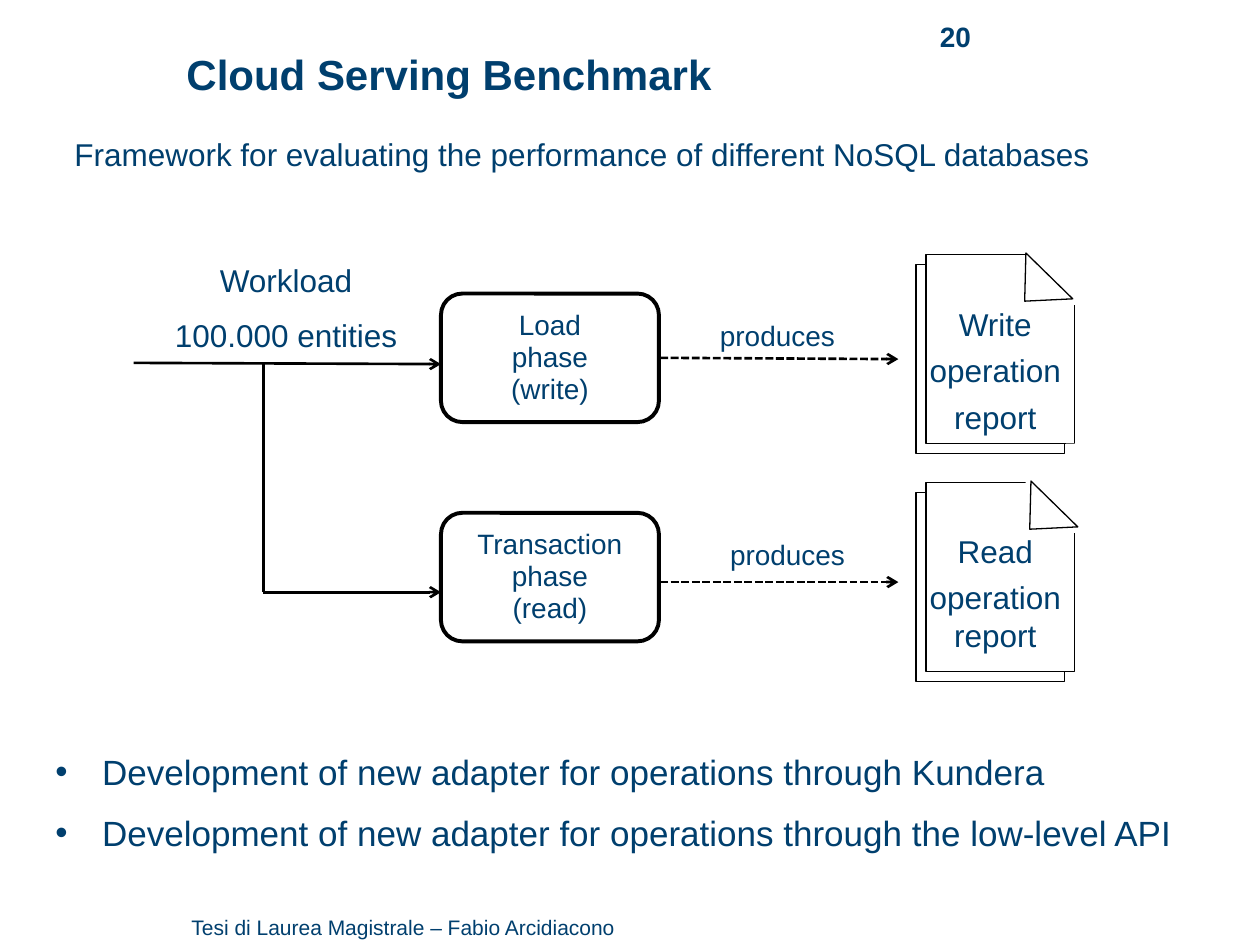
from lxml.etree import SubElement
from pptx import Presentation
from pptx.dml.color import RGBColor
from pptx.enum.dml import MSO_LINE
from pptx.enum.shapes import MSO_CONNECTOR, MSO_SHAPE
from pptx.enum.text import MSO_ANCHOR, MSO_AUTO_SIZE, PP_ALIGN
from pptx.oxml.ns import qn
from pptx.util import Inches, Pt

COLORS = {"text": "003F6E", "line": "000000", "paper": "FFFFFF"}
FONT = "Arial"

TITLE = "Cloud Serving Benchmark"
BULLETS = [
    "Development of new adapter for operations through Kundera",
    "Development of new adapter for operations through the low-level API",
]
LABELS = [
    (["Framework for evaluating the performance of different NoSQL databases"],
     (0.59, 1.07, 9.21, 0.4), 18, PP_ALIGN.LEFT, 0),
    (["Workload", "100.000 entities"], (1.05, 2.07, 2.44, 0.75), 18, PP_ALIGN.CENTER, 10.2),
    (["produces"], (5.42, 2.53, 1.5, 0.3), 16, PP_ALIGN.CENTER, 0),
    (["produces"], (5.5, 4.27, 1.5, 0.3), 16, PP_ALIGN.CENTER, 0),
    (["Tesi di Laurea Magistrale – Fabio Arcidiacono"],
     (1.52, 7.26, 3.57, 0.22), 12, PP_ALIGN.LEFT, 0),
]
PHASES = [("Load\vphase\v(write)", 2.33), ("Transaction\vphase\v(read)", 4.07)]
REPORTS = [
    (["Write", "operation", "report"], 2.02, 2.42, 7.97),
    (["Read", "operation\vreport"], 3.83, 4.22, 8.01),
]
LINES = [
    ((1.06, 2.88), (3.5, 2.89), False, True),
    ((2.09, 4.7), (2.09, 2.88), False, False),
    ((2.09, 4.7), (3.5, 4.7), False, True),
    ((5.24, 2.84), (7.13, 2.85), True, True),
    ((5.24, 4.62), (7.13, 4.62), True, True),
]


def rgb(name):
    return RGBColor.from_string(COLORS[name])


def place(shape, box):
    shape.left, shape.top, shape.width, shape.height = map(Inches, box)


def write(tf, lines, size, align=PP_ALIGN.LEFT, gap=0, bold=False,
          spacing=1.0, anchor=MSO_ANCHOR.TOP):
    tf.word_wrap = True
    tf.auto_size = MSO_AUTO_SIZE.NONE
    tf.vertical_anchor = anchor
    tf.margin_left = tf.margin_right = tf.margin_top = tf.margin_bottom = 0
    for i, line in enumerate(lines):
        p = tf.paragraphs[0] if i == 0 else tf.add_paragraph()
        p.text = line
        p.alignment = align
        p.line_spacing = spacing
        p.space_before = Pt(gap if i else 0)
        for r in p.runs:
            r.font.name = FONT
            r.font.size = Pt(size)
            r.font.bold = bold
            r.font.color.rgb = rgb("text")


def add_label(s, lines, box, *style, **options):
    tf = s.shapes.add_textbox(*map(Inches, box)).text_frame
    write(tf, lines, *style, **options)


def add_outline(s, kind, box, width, filled=True):
    sp = s.shapes.add_shape(kind, *map(Inches, box))
    sp.shadow.inherit = False
    if filled:
        sp.fill.solid()
        sp.fill.fore_color.rgb = rgb("paper")
    else:
        sp.fill.background()
    if width:
        sp.line.color.rgb = rgb("line")
        sp.line.width = Pt(width)
    else:
        sp.line.fill.background()
    return sp


def add_line(s, start, end, dashed, arrow):
    cx = s.shapes.add_connector(MSO_CONNECTOR.STRAIGHT, *map(Inches, start + end))
    cx.line.color.rgb = rgb("line")
    cx.line.width = Pt(1.5)
    if dashed:
        cx.line.dash_style = MSO_LINE.SQUARE_DOT
    if arrow:
        SubElement(cx.line._get_or_add_ln(), qn("a:tailEnd"), type="arrow")
    SubElement(cx._element.spPr, qn("a:effectLst"))


def add_report(s, lines, top, text_top, fold_left):
    for left, y in [(7.27, top + 0.08), (7.35, top)]:
        add_outline(s, MSO_SHAPE.RECTANGLE, (left, y, 1.18, 1.5), 0.75)
    for box in [(8.14, top - 0.16, 0.71, 0.24), (8.46, top - 0.31, 0.4, 0.71)]:
        add_outline(s, MSO_SHAPE.RECTANGLE, box, 0)
    fold = add_outline(s, MSO_SHAPE.ISOSCELES_TRIANGLE,
                       (fold_left, top + 0.13, 0.52, 0.28), 0.75)
    fold.rotation = 224.4
    add_label(s, lines, (7.3, text_top, 1.2, 1), 18, PP_ALIGN.CENTER, 5)


def main():
    prs = Presentation()
    prs.slide_width, prs.slide_height = Inches(10), Inches(7.5)
    s = prs.slides.add_slide(prs.slide_layouts[1])

    title, body = s.shapes.title, s.placeholders[1]
    place(title, (0.55, 0, 6.89, 1.34))
    write(title.text_frame, [TITLE], 24, bold=True, spacing=0.93)
    title.text_frame.margin_left = Inches(0.93)
    title.text_frame.margin_top = Inches(0.42)

    place(body, (0.43, 5.88, 9.21, 1.1))
    write(body.text_frame, BULLETS, 20, gap=10.8)
    body.text_frame.margin_top = Inches(0.08)
    for p in body.text_frame.paragraphs:
        pPr = p._p.get_or_add_pPr()
        pPr.set("marL", str(Inches(0.38)))
        pPr.set("indent", str(-Inches(0.37)))
        SubElement(pPr, qn("a:buFont"), typeface=FONT)
        SubElement(pPr, qn("a:buChar"), char="•")

    add_label(s, ["20"], (7.46, -0.02, 2.13, 0.61), 16, bold=True, anchor=MSO_ANCHOR.MIDDLE)

    for text, top in PHASES:
        sp = add_outline(s, MSO_SHAPE.ROUNDED_RECTANGLE, (3.5, top, 1.73, 1.02), 2.25, False)
        write(sp.text_frame, [text], 16, PP_ALIGN.CENTER, spacing=0.96, anchor=MSO_ANCHOR.MIDDLE)
    for report in REPORTS:
        add_report(s, *report)
    for line in LINES:
        add_line(s, *line)
    for label in LABELS:
        add_label(s, *label)

    prs.save("out.pptx")


if __name__ == "__main__":
    main()
